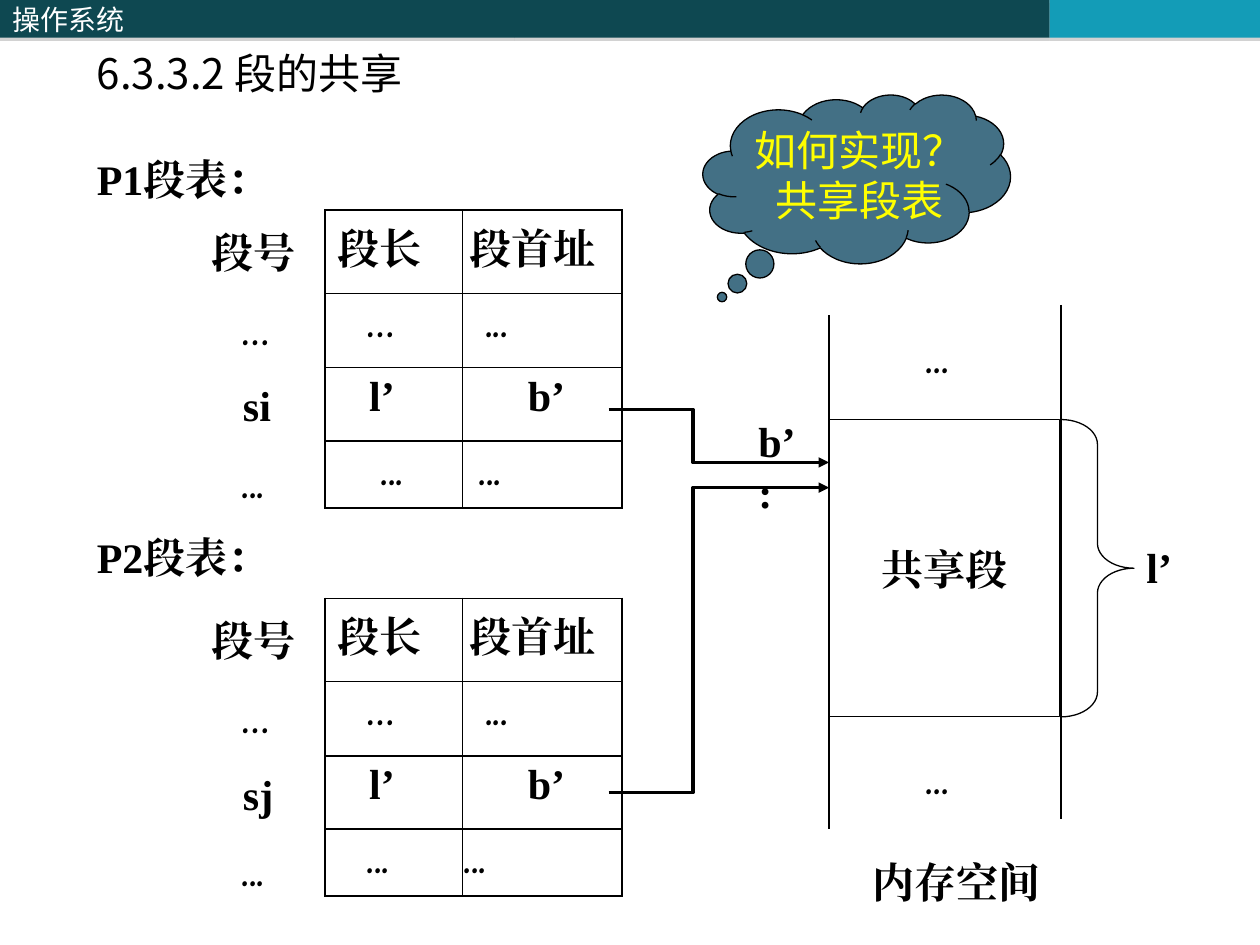
from lxml.etree import SubElement
from pptx import Presentation
from pptx.dml.color import RGBColor
from pptx.enum.shapes import MSO_CONNECTOR as Connector, MSO_SHAPE as Shape
from pptx.enum.text import MSO_ANCHOR as Anchor, PP_ALIGN as Align
from pptx.oxml.ns import qn
from pptx.util import Inches, Pt

COLORS = {
    "bar": "0E4851",
    "accent": "139CB7",
    "cloud": "437085",
    "yellow": "FFFF00",
    "black": "000000",
    "white": "FFFFFF",
    "shadow": "808080",
}
SANS = "Noto Sans CJK SC"
SERIF = "Times New Roman"
COMIC = "Comic Neue"


def rgb(name):
    return RGBColor.from_string(COLORS[name])


class SlideBuilder:
    def __init__(self, slide):
        self.slide = slide
        self.shapes = slide.shapes

    def style(self, paragraph, text, font=SERIF, size=24, color="black", bold=True, indent=0):
        paragraph.text = text
        properties = paragraph._p.get_or_add_pPr()
        if indent:
            properties.set("marL", str(Inches(indent)))
        paragraph.font.name = font
        paragraph.font.size = Pt(size)
        paragraph.font.bold = bold
        paragraph.font.color.rgb = rgb(color)
        SubElement(properties.find(qn("a:defRPr")), qn("a:ea"), typeface=font)

    def text(self, left, top, width, height, *lines, **style):
        frame = self.shapes.add_textbox(*map(Inches, (left, top, width, height))).text_frame
        frame.word_wrap = True
        for index, (text, options) in enumerate(lines):
            paragraph = frame.add_paragraph() if index else frame.paragraphs[0]
            if index:
                paragraph.space_before = Pt(15)
            self.style(paragraph, text, **{**style, **options})

    def label(self, left, top, width, text, height=0.5, **style):
        self.text(left, top, width, height, (text, style))

    def shape(self, kind, left, top, width, height, fill=None, line=None, adjustments=()):
        shape = self.shapes.add_shape(kind, *map(Inches, (left, top, width, height)))
        shape.shadow.inherit = False
        for index, value in enumerate(adjustments):
            shape.adjustments[index] = value
        self.paint(shape, fill, line)
        return shape

    def paint(self, shape, fill, line):
        if fill:
            shape.fill.solid()
            shape.fill.fore_color.rgb = rgb(fill)
        else:
            shape.fill.background()
        if line:
            shape.line.color.rgb = rgb("black")
            shape.line.width = Pt(line)
        else:
            shape.line.fill.background()

    def caption(self, shape, lines, align=Align.CENTER, wrap=False, **style):
        frame = shape.text_frame
        frame.word_wrap = wrap
        frame.vertical_anchor = Anchor.MIDDLE
        for index, text in enumerate(lines):
            paragraph = frame.add_paragraph() if index else frame.paragraphs[0]
            paragraph.alignment = align
            self.style(paragraph, text, **style)

    def bar(self, left, width, fill):
        shape = self.shape(Shape.RECTANGLE, left, 0, width, 0.3, fill)
        effects = shape._element.spPr.find(qn("a:effectLst"))
        shadow = SubElement(effects, qn("a:outerShdw"), blurRad="0", dist=str(Pt(1.8)),
                            dir="5400000", algn="t", rotWithShape="0")
        color = SubElement(shadow, qn("a:srgbClr"), val=COLORS["shadow"])
        SubElement(color, qn("a:alpha"), val="35000")
        return shape

    def vertical(self, x, top, bottom):
        connector = self.shapes.add_connector(
            Connector.STRAIGHT, *map(Inches, (x, top, x, bottom)))
        connector.line.color.rgb = rgb("black")
        connector.line.width = Pt(1.25)
        SubElement(connector._element.spPr, qn("a:effectLst"))

    def arrow(self, *points):
        start, *rest = [tuple(map(Inches, point)) for point in points]
        builder = self.shapes.build_freeform(*start, scale=1.0)
        builder.add_line_segments(rest, close=False)
        shape = builder.convert_to_shape()
        shape.shadow.inherit = False
        self.paint(shape, None, 2)
        SubElement(shape.line._get_or_add_ln(), qn("a:tailEnd"), type="triangle")

    def border(self, cell, widths):
        properties = cell._tc.get_or_add_tcPr()
        for side, width in zip("LRTB", widths):
            line = SubElement(properties, qn(f"a:ln{side}"), w=str(Pt(width)))
            fill = SubElement(line, qn("a:solidFill"))
            SubElement(fill, qn("a:srgbClr"), val=COLORS["black"])

    def table(self, left, top, columns, rows, content):
        frame = self.shapes.add_table(
            len(rows), len(columns), *map(Inches, (left, top, sum(columns), sum(rows))))
        table = frame.table
        table.first_row = table.horz_banding = False
        for column, width in zip(table.columns, columns):
            column.width = Inches(width)
        for y, (height, (font, margin_top, cells)) in enumerate(zip(rows, content)):
            table.rows[y].height = Inches(height)
            for x, (text, margin) in enumerate(cells):
                cell = table.cell(y, x)
                edges = (x == 0, x == len(columns) - 1, y == 0, y == len(rows) - 1)
                self.border(cell, [1.25 if edge else 0.75 for edge in edges])
                cell.fill.solid()
                cell.fill.fore_color.rgb = rgb("white")
                cell.margin_left = Inches(margin)
                cell.margin_top = Inches(margin_top)
                cell.margin_right = cell.margin_bottom = 0
                self.style(cell.text_frame.paragraphs[0], text, font=font)

    def segment_table(self, name, name_top, top, segment, last_margins):
        content = [
            (SERIF, 0.13, [("段长", 0.1), ("段首址", 0.06)]),
            (COMIC, 0.05, [("…", 0.33), ("...", 0.18)]),
            (SERIF, 0.05, [("l’", 0.35), ("b’", 0.52)]),
            (COMIC, 0.05, [("...", margin) for margin in last_margins]),
        ]
        self.table(2.58, top, (1.09, 1.27), (0.66, 0.59, 0.58, 0.53), content)
        self.text(1.58, top + 0.08, 1, 2.33,
                  ("段号", {}),
                  ("…", {"font": COMIC, "indent": 0.24}),
                  (segment, {"indent": 0.25}),
                  ("...", {"font": COMIC, "indent": 0.24}))
        self.label(0.67, name_top, 1.42, name)


def main():
    presentation = Presentation()
    presentation.slide_width = Inches(10)
    presentation.slide_height = Inches(7.5)
    builder = SlideBuilder(presentation.slides.add_slide(presentation.slide_layouts[6]))

    header = builder.bar(0, 4.08, "bar")
    builder.caption(header, ["操作系统"], Align.LEFT, True,
                    font=SANS, size=16, color="white", bold=False)
    builder.bar(4.08, 4.25, "bar")
    builder.bar(8.33, 1.67, "accent")
    builder.label(0.67, 0.33, 8.42, "6.3.3.2 段的共享", font=SANS, bold=False)

    builder.segment_table("P1段表：", 1.17, 1.67, "si", (0.44, 0.13))
    builder.segment_table("P2段表：", 4.17, 4.75, "sj", (0.33, 0.01))

    shared = builder.shape(Shape.RECTANGLE, 6.58, 3.33, 1.83, 2.36, "white", 0.75)
    builder.caption(shared, ["共享段"])
    builder.vertical(8.42, 2.42, 6.5)
    builder.vertical(6.58, 2.5, 6.58)
    for top in (2.58, 5.92):
        builder.label(7.25, top, 0.75, "...", font=COMIC)
    builder.shape(Shape.RIGHT_BRACE, 8.42, 3.33, 0.58, 2.36, line=0.75, adjustments=(0.34, 0.5))
    builder.label(5.92, 3.25, 0.58, "b’:", height=0.9)
    builder.label(9, 4.25, 0.42, "l’")
    for start, end in ((3.25, 3.67), (6.29, 3.87)):
        builder.arrow((4.83, start), (5.5, start), (5.5, end), (6.58, end))
    builder.label(6.83, 6.75, 2, "内存空间")

    cloud = builder.shape(Shape.CLOUD_CALLOUT, 5.58, 0.75, 2.44, 1.34, "cloud", 0.75, (-0.438, 0.7))
    builder.caption(cloud, ["如何实现？", "共享段表"], font=SANS, color="yellow", bold=False)
    cloud.text_frame.margin_left = Inches(0.32)

    presentation.save("out.pptx")


if __name__ == "__main__":
    main()
